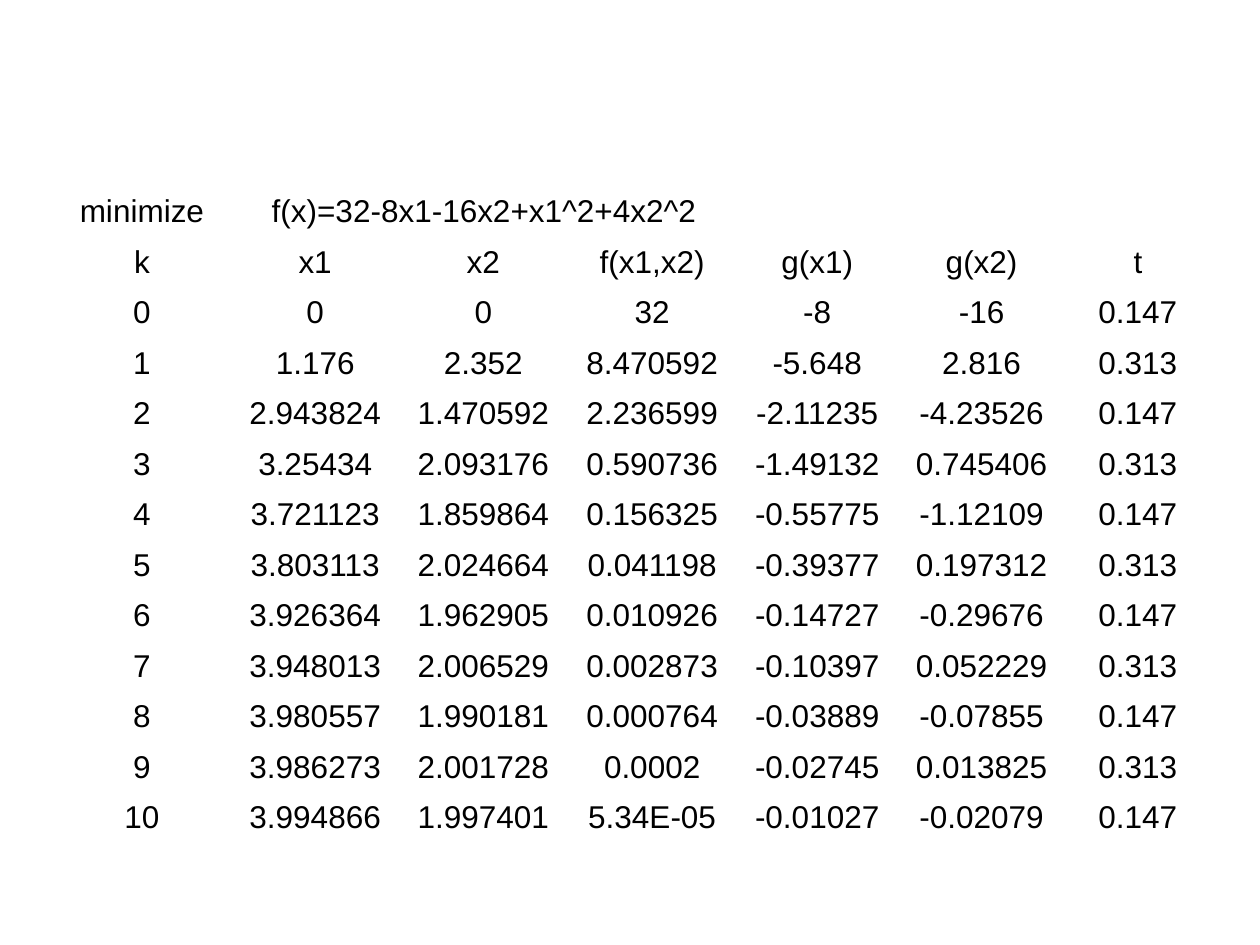
from dataclasses import dataclass

from pptx import Presentation
from pptx import util as u
from pptx.dml import color
from pptx.enum import text


@dataclass(frozen=True)
class Theme:
    font: str = "Arial"
    size: int = 18
    ink: str = "000000"
    plain_table: str = "{2D5ABB26-0587-4C30-8999-92F81FD0307C}"


theme = Theme()

# Steepest-descent iterations, one row per step k
iterations = [
    ["minimize", "f(x)=32-8x1-16x2+x1^2+4x2^2", "", "", "", "", ""],
    ["k", "x1", "x2", "f(x1,x2)", "g(x1)", "g(x2)", "t"],
    ["0", "0", "0", "32", "-8", "-16", "0.147"],
    ["1", "1.176", "2.352", "8.470592", "-5.648", "2.816", "0.313"],
    ["2", "2.943824", "1.470592", "2.236599", "-2.11235", "-4.23526", "0.147"],
    ["3", "3.25434", "2.093176", "0.590736", "-1.49132", "0.745406", "0.313"],
    ["4", "3.721123", "1.859864", "0.156325", "-0.55775", "-1.12109", "0.147"],
    ["5", "3.803113", "2.024664", "0.041198", "-0.39377", "0.197312", "0.313"],
    ["6", "3.926364", "1.962905", "0.010926", "-0.14727", "-0.29676", "0.147"],
    ["7", "3.948013", "2.006529", "0.002873", "-0.10397", "0.052229", "0.313"],
    ["8", "3.980557", "1.990181", "0.000764", "-0.03889", "-0.07855", "0.147"],
    ["9", "3.986273", "2.001728", "0.0002", "-0.02745", "0.013825", "0.313"],
    ["10", "3.994866", "1.997401", "5.34E-05", "-0.01027", "-0.02079", "0.147"],
]
column_widths = [1.42, 1.33, 1.34, 1.34, 1.28, 1.33, 1.15]
table_height, top_row = 5.58, 0.77
steps = len(iterations) - 1
row_heights = [top_row] + [(table_height - top_row) / steps] * steps

# Page
deck = Presentation()
deck.slide_width, deck.slide_height = u.Inches(10), u.Inches(7.5)
page = deck.slides.add_slide(deck.slide_layouts[6])

# Table grid, without style, header or bands
frame = page.shapes.add_table(
    len(row_heights), len(column_widths), u.Pt(30), u.Inches(1.1),
    u.Inches(sum(column_widths)), u.Inches(table_height))
table = frame.table
table.first_row = table.horz_banding = False
properties = frame._element.graphic.graphicData.tbl.tblPr
properties[0].text = theme.plain_table
for column, width in zip(table.columns, column_widths):
    column.width = u.Inches(width)
for row, height in zip(table.rows, row_heights):
    row.height = u.Inches(height)

# The objective function spans three columns
table.cell(0, 1).merge(table.cell(0, 3))

# Cell contents
for row, values in zip(table.rows, iterations):
    for cell, value in zip(row.cells, values):
        if cell.is_spanned:
            continue
        cell.fill.background()
        cell.vertical_anchor = text.MSO_ANCHOR.BOTTOM
        if not value:
            continue
        para = cell.text_frame.paragraphs[0]
        para.alignment = text.PP_ALIGN.CENTER
        span = para.add_run()
        span.text = value
        span.font.name = theme.font
        span.font.size = u.Pt(theme.size)
        span.font.color.rgb = color.RGBColor.from_string(theme.ink)

deck.save("out.pptx")
